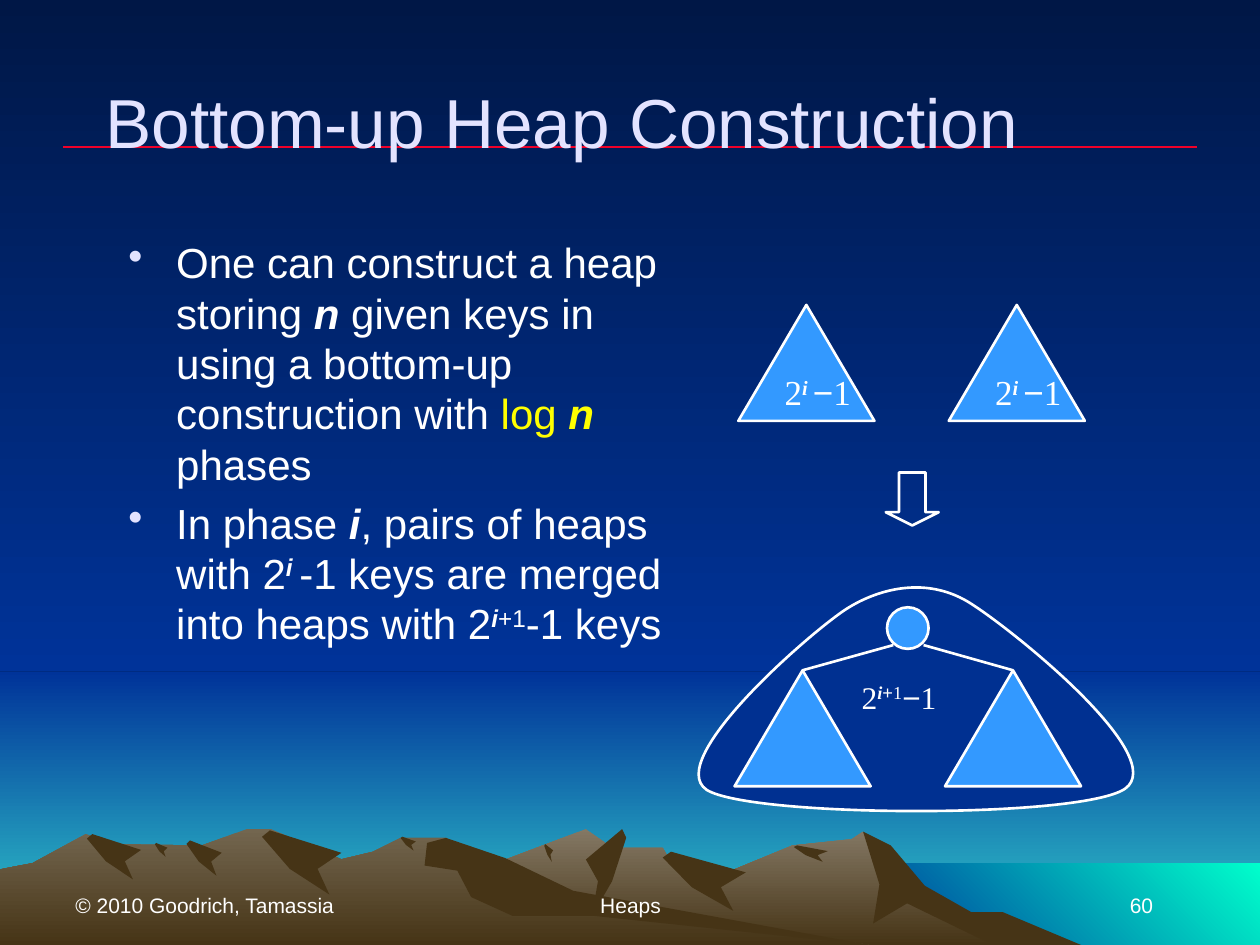
from collections import namedtuple

from lxml.etree import SubElement
from pptx import Presentation
from pptx.dml.color import RGBColor
from pptx.enum.shapes import MSO_CONNECTOR, MSO_SHAPE
from pptx.enum.text import MSO_ANCHOR, PP_ALIGN
from pptx.oxml.ns import qn
from pptx.util import Inches, Pt

NIGHT = RGBColor(0x00, 0x17, 0x46)
BLUE = RGBColor(0x00, 0x33, 0x99)
TEAL = RGBColor(0x33, 0xCC, 0xCC)
AQUA = RGBColor(0x00, 0xFF, 0xCC)
NEAR_PEAK = RGBColor(0x84, 0x78, 0x64)
FAR_PEAK = RGBColor(0x73, 0x66, 0x4F)
EARTH = RGBColor(0x46, 0x34, 0x16)
RED = RGBColor(0xEF, 0x01, 0x29)
LAVENDER = RGBColor(0xE3, 0xE3, 0xFF)
WHITE = RGBColor(0xFF, 0xFF, 0xFF)
YELLOW = RGBColor(0xFF, 0xFF, 0x00)
HEAP_BLUE = RGBColor(0x33, 0x99, 0xFF)
MERGED_BLUE = RGBColor(0x00, 0x30, 0x91)

WIDTH, HEIGHT, HORIZON = 10, 7.5, 5.33
DOWNWARD, TO_UPPER_RIGHT = 270, 45  # gradient directions
SERIF = "Times New Roman"

# A range is a ridge line closed along the slide's bottom edge, one large
# shaded slope, and crags given as (left, top, width, height).
MountainRange = namedtuple("MountainRange", "peak_color ridge slope crags")
RIGHT_RANGE = MountainRange(
    NEAR_PEAK,
    ridge=[(2.58, 7.5), (3.27, 7.09), (3.94, 6.85), (4.65, 6.58), (4.86, 6.73), (5.26, 6.73),
           (5.36, 6.9), (5.66, 6.97), (6.29, 6.71), (6.76, 6.66), (6.85, 6.6), (7.23, 6.98),
           (7.64, 7.23), (8.21, 7.5)],
    slope=[(6.85, 6.6), (7.07, 6.71), (7.34, 7.03), (7.71, 7.24), (7.96, 7.24), (8.58, 7.5),
           (7.88, 7.5), (7.2, 7.17), (6.93, 7.33), (6.98, 7.02)],
    crags=[(4.97, 6.58, -0.32, 0.69), (5.26, 6.76, 0.66, 0.47), (6.3, 6.71, 0.27, 0.13),
           (4.32, 6.7, 0.07, 0.14)])
LEFT_RANGE = MountainRange(
    FAR_PEAK,
    ridge=[(0, 6.9), (0.26, 6.85), (0.68, 6.62), (0.94, 6.7), (1.6, 6.71), (1.96, 6.58),
           (2.15, 6.58), (2.71, 6.82), (2.96, 6.76), (3.18, 6.65), (3.54, 6.65), (4.32, 7.12),
           (6.9, 7.5)],
    slope=[(3.39, 6.69), (3.54, 6.65), (4.01, 6.81), (4.55, 7.07), (6.9, 7.5), (4.72, 7.27),
           (4.07, 7.27), (3.74, 7.12), (3.63, 6.91), (3.37, 6.87)],
    crags=[(2.08, 6.59, 0.63, 0.51), (0.69, 6.62, 0.43, 0.36), (1.48, 6.67, 0.28, 0.28),
           (1.23, 6.69, 0.1, 0.11), (3.18, 6.64, 0.12, 0.11)])
# One crag in a unit square; a negative width mirrors it.
UNIT_CRAG = [(0, 0.1), (0.1, 0), (1, 0.35), (0.7, 0.6), (0.85, 1), (0.35, 0.6)]

# Bezier path: a start, then two control points and an end for each curve.
MERGED_CURVE = [
    (6.74, 4.82),
    (6.5, 4.96), (5.25, 6.03), (5.61, 6.27),
    (5.97, 6.49), (8.58, 6.5), (8.93, 6.26),
    (9.28, 6.01), (8.09, 5.04), (7.72, 4.8),
    (7.36, 4.56), (6.97, 4.68), (6.74, 4.82)]

HEAP_WIDTH, HEAP_HEIGHT, HEAP_PITCH = 1.08, 0.92, 1.67

VARIABLE = {"bold": True, "italic": True}
EXPONENT = {**VARIABLE, "raised": True}
SANS = {"font": "Arial"}
PHASES = [
    ["One can construct a heap storing ", ("n", VARIABLE),
     " given keys in using a bottom-up construction with ", ("log ", {"color": YELLOW}),
     ("n ", {**VARIABLE, "color": YELLOW}), "phases"],
    ["In phase ", ("i", VARIABLE), ", pairs of heaps with 2", ("i ", EXPONENT),
     "-1 keys are merged into heaps with 2", ("i", EXPONENT), ("+1", {"raised": True}), "-1 keys"]]
HEAP_SIZE = [["2", ("i ", EXPONENT), ("−", SANS), "1"]]
MERGED_SIZE = [["2", ("i", EXPONENT), ("+", {**SANS, "raised": True}), ("1", {"raised": True}),
                ("−", SANS), "1"]]


def fill_gradient(fill, start, end, angle=DOWNWARD):
    fill.gradient()
    fill.gradient_angle = angle
    for stop, color in zip(fill.gradient_stops, (start, end)):
        stop.color.rgb = color


def paint(shape, fill=None, line=None, angle=DOWNWARD):
    """Fill with a colour, a (start, end) gradient or nothing; outline if asked."""
    shape.shadow.inherit = False
    if fill is None:
        shape.fill.background()
    elif isinstance(fill, RGBColor):
        shape.fill.solid()
        shape.fill.fore_color.rgb = fill
    else:
        fill_gradient(shape.fill, *fill, angle)
    if line is None:
        shape.line.fill.background()
    else:
        shape.line.color.rgb = line
        shape.line.width = Pt(1.5)
    return shape


def add_preset(slide, preset, left, top, width, height, **look):
    box = map(Inches, (left, top, width, height))
    return paint(slide.shapes.add_shape(preset, *box), **look)


def add_outline(slide, points, **look):
    start, *rest = [(Inches(x), Inches(y)) for x, y in points]
    builder = slide.shapes.build_freeform(*start, scale=1.0)
    builder.add_line_segments(rest, close=True)
    return paint(builder.convert_to_shape(), **look)


def curve_segments(outline):
    """Turn every three straight segments into one Bezier segment."""
    segments = list(outline._element.iter(qn("a:lnTo")))
    for first in range(0, len(segments), 3):
        curve = segments[first].makeelement(qn("a:cubicBezTo"))
        segments[first].addprevious(curve)
        for segment in segments[first:first + 3]:
            curve.append(segment[0])
            segment.getparent().remove(segment)


def add_line(slide, start, end, color, width):
    line = slide.shapes.add_connector(MSO_CONNECTOR.STRAIGHT, *map(Inches, start + end))
    line.line.color.rgb = color
    line.line.width = Pt(width)
    SubElement(line._element.spPr, qn("a:effectLst"))
    return line


def add_bullet(paragraph, color):
    properties = paragraph._p.get_or_add_pPr()
    properties.set("marL", str(Inches(0.38)))
    properties.set("indent", str(Inches(-0.38)))
    SubElement(SubElement(properties, qn("a:buClr")), qn("a:srgbClr")).set("val", str(color))
    SubElement(properties, qn("a:buChar")).set("char", "•")


def write(shape, paragraphs, size, font="Arial", color=WHITE, align=PP_ALIGN.LEFT,
          anchor=MSO_ANCHOR.TOP, wrap=True, bullet=None):
    """Write paragraphs of runs; a run is a string or a (string, format) pair."""
    frame = shape.text_frame
    frame.word_wrap = wrap
    frame.vertical_anchor = anchor
    for index, runs in enumerate(paragraphs):
        paragraph = frame.add_paragraph() if index else frame.paragraphs[0]
        paragraph.alignment = align
        if bullet:
            add_bullet(paragraph, bullet)
        if index:
            paragraph.space_before = Pt(size * 0.2)
        for item in runs:
            text, style = (item, {}) if isinstance(item, str) else item
            run = paragraph.add_run()
            run.text = text
            run.font.size = Pt(size)
            run.font.name = style.get("font", font)
            run.font.color.rgb = style.get("color", color)
            run.font.bold = style.get("bold", False)
            run.font.italic = style.get("italic", False)
            if style.get("raised"):
                run._r.get_or_add_rPr().set("baseline", "30000")


def add_text(slide, left, top, width, height, paragraphs, **style):
    box = slide.shapes.add_textbox(*map(Inches, (left, top, width, height)))
    write(box, paragraphs, **style)


def add_mountains(slide, mountains):
    first_x, last_x = mountains.ridge[0][0], mountains.ridge[-1][0]
    base = [(last_x, HEIGHT), (first_x, HEIGHT)]
    add_outline(slide, mountains.ridge + base, fill=(mountains.peak_color, EARTH))
    add_outline(slide, mountains.slope, fill=EARTH)
    for left, top, width, height in mountains.crags:
        crag = [(left + x * width, top + y * height) for x, y in UNIT_CRAG]
        add_outline(slide, crag, fill=EARTH)


def add_landscape(slide):
    fill_gradient(slide.background.fill, NIGHT, BLUE)
    for left, top, bottom, colors, angle in ((0, HORIZON, HEIGHT, (BLUE, TEAL), DOWNWARD),
                                             (0, 0, HORIZON, (NIGHT, BLUE), DOWNWARD),
                                             (6.83, 6.85, HEIGHT, (BLUE, AQUA), TO_UPPER_RIGHT)):
        add_preset(slide, MSO_SHAPE.RECTANGLE, left, top, WIDTH - left, bottom - top,
                   fill=colors, angle=angle)
    add_mountains(slide, RIGHT_RANGE)
    add_mountains(slide, LEFT_RANGE)


def add_heap_pair(slide, left, top):
    return [add_preset(slide, MSO_SHAPE.ISOSCELES_TRIANGLE, left + i * HEAP_PITCH, top,
                       HEAP_WIDTH, HEAP_HEIGHT, fill=HEAP_BLUE, line=WHITE) for i in range(2)]


def add_merge_diagram(slide):
    for heap in add_heap_pair(slide, 5.86, 2.42):
        write(heap, HEAP_SIZE, size=20, font=SERIF, anchor=MSO_ANCHOR.MIDDLE, wrap=False)
    arrow = add_preset(slide, MSO_SHAPE.DOWN_ARROW, 7.03, 3.75, 0.42, 0.42, line=WHITE)
    arrow.adjustments[1] = 0.25
    curve_segments(add_outline(slide, MERGED_CURVE, fill=MERGED_BLUE, line=WHITE))
    subheaps = add_heap_pair(slide, 5.83, 5.32)
    add_preset(slide, MSO_SHAPE.OVAL, 7.04, 4.82, 0.33, 0.33, fill=HEAP_BLUE, line=WHITE)
    for subheap, root_x in zip(subheaps, (7.09, 7.33)):
        edge = add_line(slide, (root_x, 5.12), (root_x, 5.32), WHITE, 1.5)
        edge.end_connect(subheap, 0)
    add_text(slide, 6.74, 5.33, 1.01, 0.5, MERGED_SIZE, size=18, font=SERIF, wrap=False)


def add_footer(slide):
    for left, width, text, align in ((0.5, 2.33, "© 2010 Goodrich, Tamassia", PP_ALIGN.LEFT),
                                     (3.42, 3.17, "Heaps", PP_ALIGN.CENTER),
                                     (7.17, 2.08, "60", PP_ALIGN.RIGHT)):
        add_text(slide, left, 6.83, width, 0.5, [[text]], size=12, align=align,
                 anchor=MSO_ANCHOR.BOTTOM)


def main():
    deck = Presentation()
    deck.slide_width, deck.slide_height = Inches(WIDTH), Inches(HEIGHT)
    slide = deck.slides.add_slide(deck.slide_layouts[6])
    add_landscape(slide)
    add_line(slide, (0.5, 1.17), (9.5, 1.17), RED, 1.25)
    add_text(slide, 0.67, 0.33, 7.58, 1.25, [["Bottom-up Heap Construction"]], size=39.6,
             color=LAVENDER, align=PP_ALIGN.CENTER, anchor=MSO_ANCHOR.MIDDLE)
    add_text(slide, 0.92, 1.83, 4.71, 4.67, PHASES, size=24, bullet=LAVENDER)
    add_merge_diagram(slide)
    add_footer(slide)
    deck.save("out.pptx")


if __name__ == "__main__":
    main()
